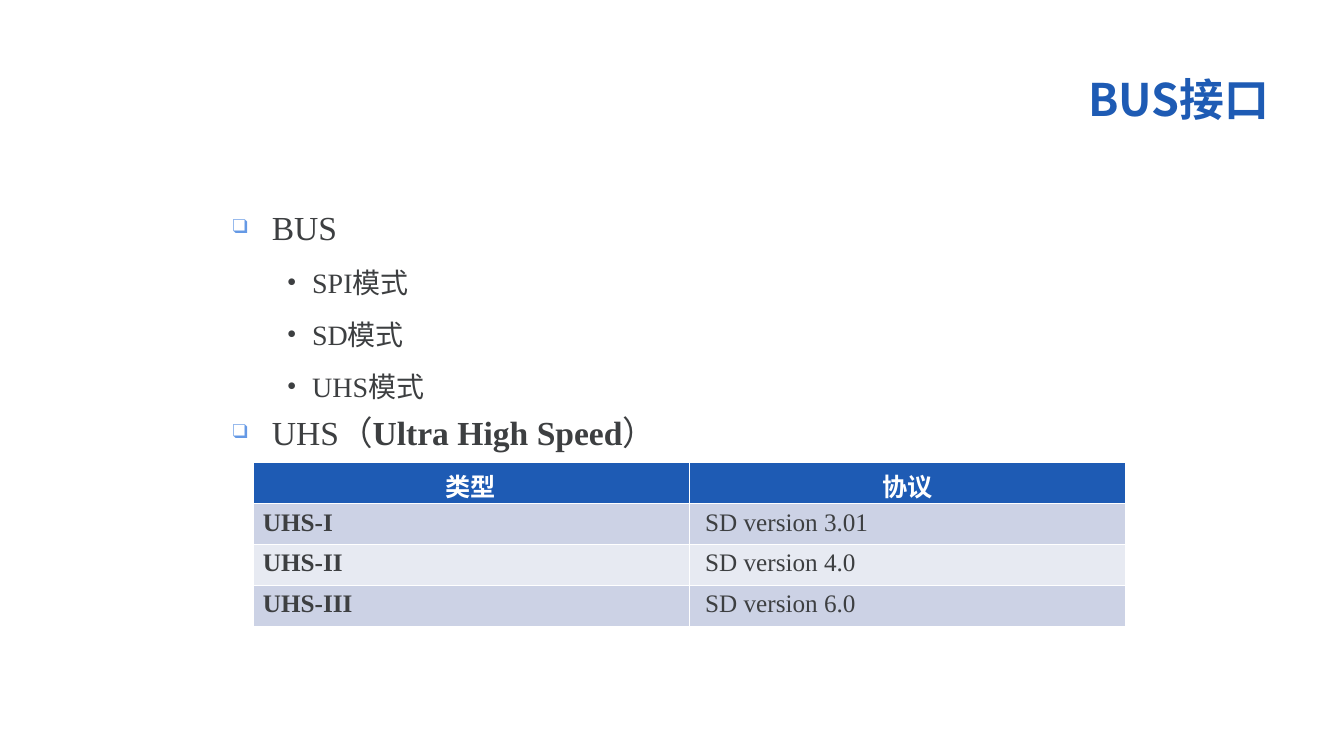
from lxml.etree import SubElement
from pptx import Presentation
from pptx.dml.color import RGBColor
from pptx.enum.text import MSO_ANCHOR as Anchor, PP_ALIGN as Align
from pptx.oxml.ns import qn
from pptx.util import Inches, Pt

COLORS = {"blue": "1E5BB4", "bullet": "6599E5", "text": "3D3F41", "white": "FFFFFF",
          "band_dark": "CCD2E5", "band_light": "E7EAF2"}
SANS, SERIF = "Noto Sans CJK SC", "Times New Roman"

BULLETS = [
    (0, [("BUS", False)]),
    (1, [("SPI模式", False)]),
    (1, [("SD模式", False)]),
    (1, [("UHS模式", False)]),
    (0, [("UHS（", False), ("Ultra High Speed", True), ("）", False)]),
]
LEVELS = [
    {"size": 24, "left": 0.39, "hanging": 0.39, "mark": "❑", "mark_color": "bullet",
     "mark_share": 60, "line": 1.0, "align": Align.JUSTIFY},
    {"size": 20, "left": 0.79, "hanging": 0.25, "mark": "•", "mark_color": "text",
     "mark_share": 100, "line": 1.3, "align": Align.LEFT},
]
PROTOCOLS = [
    ("类型", "协议"),
    ("UHS-I", "SD version 3.01"),
    ("UHS-II", "SD version 4.0"),
    ("UHS-III", "SD version 6.0"),
]


def rgb(name):
    return RGBColor.from_string(COLORS[name])


def format_run(run, font, size, color, bold):
    run.font.name = font
    run.font.size = Pt(size)
    run.font.bold = bold
    run.font.color.rgb = rgb(color)
    SubElement(run.font._element, qn("a:ea"), typeface=SANS)


def add_text_frame(slide, box):
    text_frame = slide.shapes.add_textbox(*map(Inches, box)).text_frame
    text_frame.word_wrap = True
    return text_frame


def add_title(slide, box, title):
    text_frame = add_text_frame(slide, box)
    text_frame.vertical_anchor = Anchor.BOTTOM
    text_frame.text = title
    paragraph = text_frame.paragraphs[0]
    paragraph.alignment = Align.RIGHT
    paragraph.line_spacing = 0.9
    format_run(paragraph.runs[0], SANS, 32, "blue", True)


def set_bullet(paragraph, style):
    properties = paragraph._p.get_or_add_pPr()
    properties.set("marL", str(Inches(style["left"])))
    properties.set("indent", str(-Inches(style["hanging"])))
    color = SubElement(properties, qn("a:buClr"))
    SubElement(color, qn("a:srgbClr"), val=COLORS[style["mark_color"]])
    SubElement(properties, qn("a:buSzPct"), val=str(style["mark_share"] * 1000))
    SubElement(properties, qn("a:buFont"), typeface=SERIF)
    SubElement(properties, qn("a:buChar"), char=style["mark"])


def add_bullets(slide, box, bullets):
    text_frame = add_text_frame(slide, box)
    for index, (level, pieces) in enumerate(bullets):
        style = LEVELS[level]
        paragraph = text_frame.add_paragraph() if index else text_frame.paragraphs[0]
        paragraph.level = level
        set_bullet(paragraph, style)
        paragraph.alignment = style["align"]
        paragraph.line_spacing = style["line"]
        paragraph.space_before = Pt(3 if index else 0)
        paragraph.space_after = Pt(3)
        for words, bold in pieces:
            run = paragraph.add_run()
            run.text = words
            format_run(run, SERIF, style["size"], "text", bold)


def set_borders(cell, row):
    widths = {"L": 0.45, "R": 0.45, "T": 1.47 if row == 1 else 0.45,
              "B": 1.47 if row == 0 else 0.45}
    properties = cell._tc.get_or_add_tcPr()
    for side, width in widths.items():
        line = SubElement(properties, qn(f"a:ln{side}"), w=str(Pt(width)))
        fill = SubElement(line, qn("a:solidFill"))
        SubElement(fill, qn("a:srgbClr"), val=COLORS["white"])


def add_protocol_table(slide, box, rows):
    columns = len(rows[0])
    table = slide.shapes.add_table(len(rows), columns, *map(Inches, box)).table
    for row, texts in enumerate(rows):
        header = row == 0
        band = "blue" if header else "band_dark" if row % 2 else "band_light"
        for column, words in enumerate(texts):
            cell = table.cell(row, column)
            set_borders(cell, row)
            cell.fill.solid()
            cell.fill.fore_color.rgb = rgb(band)
            cell.margin_left = Inches(0.16 if column and not header else 0.1)
            cell.text = words
            paragraph = cell.text_frame.paragraphs[0]
            paragraph.alignment = Align.CENTER if header else Align.LEFT
            format_run(paragraph.runs[0], SANS if header else SERIF, 18,
                       "white" if header else "text", header or column == 0)


def main():
    presentation = Presentation()
    presentation.slide_width = Inches(13.34)
    presentation.slide_height = Inches(7.5)
    slide = presentation.slides.add_slide(presentation.slide_layouts[6])
    add_title(slide, (5.02, 0.53, 7.68, 0.77), "BUS接口")
    add_bullets(slide, (2.21, 2, 8.96, 4.82), BULLETS)
    add_protocol_table(slide, (2.51, 4.59, 8.66, 1.62), PROTOCOLS)
    presentation.save("out.pptx")


if __name__ == "__main__":
    main()
